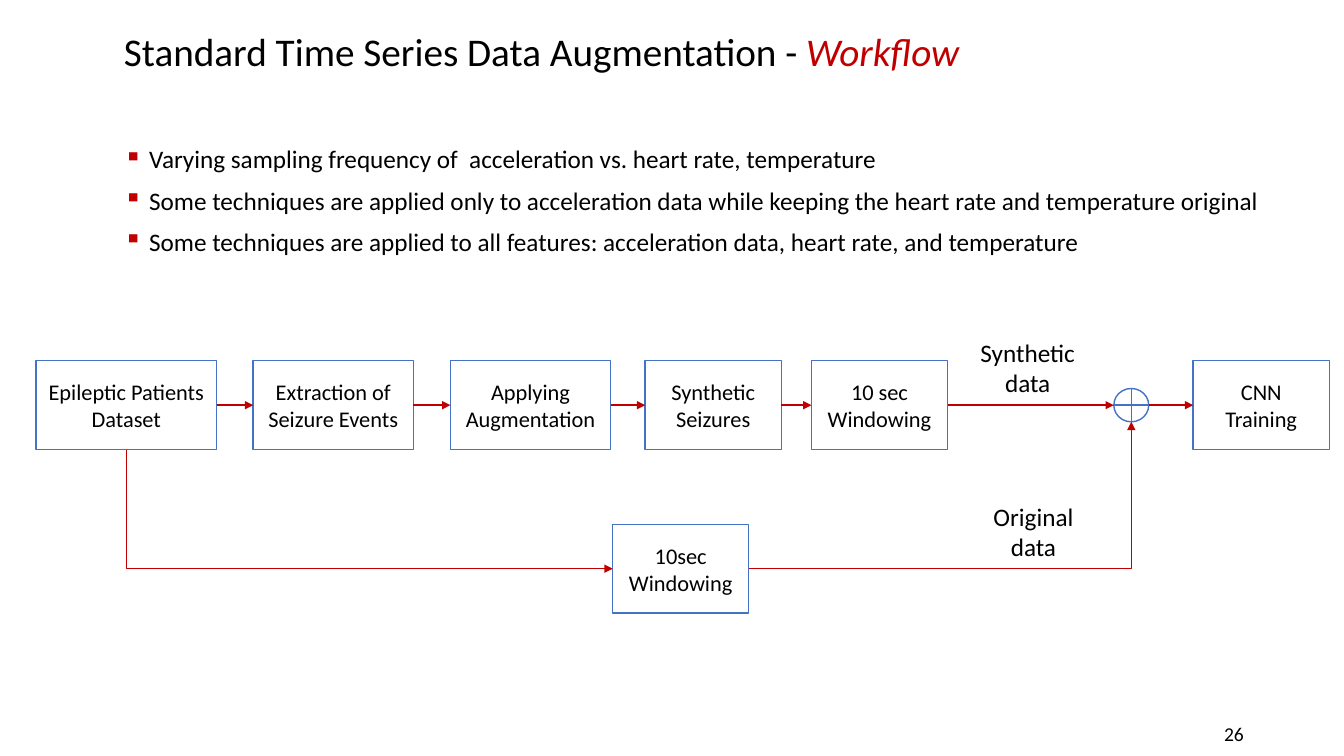
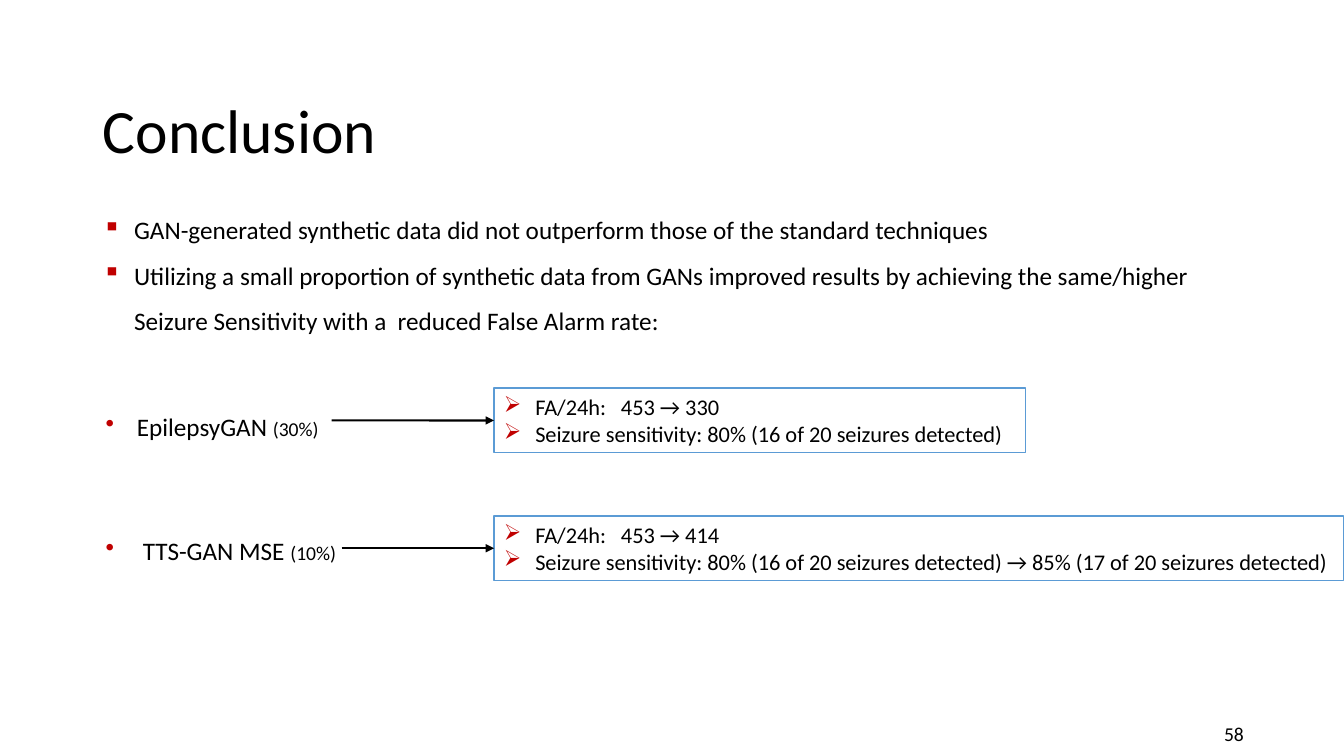
from dataclasses import dataclass
from typing import Optional

import lxml.etree
import pptx
import pptx.dml.color
import pptx.enum.shapes
import pptx.enum.text
import pptx.oxml.ns
import pptx.util

Cm = pptx.util.Cm
Pt = pptx.util.Pt
qn = pptx.oxml.ns.qn
Align = pptx.enum.text.PP_ALIGN
Anchor = pptx.enum.text.MSO_ANCHOR
Preset = pptx.enum.shapes.MSO_SHAPE
ConnectorKind = pptx.enum.shapes.MSO_CONNECTOR

FONT = "Calibri"
COLORS = {
    "text": "000000",
    "accent": "C00000",
    "paper": "FFFFFF",
    "step": "4472C4",
    "result": "5B9BD5",
}
TOP, LEFT, BOTTOM, RIGHT = range(4)


@dataclass(frozen=True)
class Area:
    left: float
    top: float
    width: float
    height: float

    def lengths(self) -> tuple:
        return Cm(self.left), Cm(self.top), Cm(self.width), Cm(self.height)

    @property
    def right(self) -> float:
        return self.left + self.width

    @property
    def bottom(self) -> float:
        return self.top + self.height

    @property
    def center(self) -> float:
        return self.left + self.width / 2

    @property
    def middle(self) -> float:
        return self.top + self.height / 2


@dataclass(frozen=True)
class Span:
    text: str
    size: float
    color: str = "text"
    italic: bool = False


@dataclass(frozen=True)
class Style:
    align: Align = Align.LEFT
    line_spacing: float = 1.0
    space_before: float = 0
    bullet: str = ""
    hanging: float = 0
    tab: Optional[float] = None


@dataclass(frozen=True)
class Step:
    text: str
    left: float
    width: float


@dataclass(frozen=True)
class Finding:
    model: str
    share: str
    label_top: float
    hanging: float
    arrow_start: float
    box: Area
    outcomes: tuple


def rgb(name: str) -> pptx.dml.color.RGBColor:
    return pptx.dml.color.RGBColor.from_string(COLORS[name])


def add_bullet(paragraph, style: Style) -> None:
    props = paragraph._p.get_or_add_pPr()
    props.set("marL", str(Cm(style.hanging)))
    props.set("indent", str(-Cm(style.hanging)))
    color = lxml.etree.SubElement(props, qn("a:buClr"))
    lxml.etree.SubElement(color, qn("a:srgbClr"), val=COLORS["accent"])
    lxml.etree.SubElement(props, qn("a:buChar"), char=style.bullet)
    if style.tab is not None:
        tabs = lxml.etree.SubElement(props, qn("a:tabLst"))
        lxml.etree.SubElement(tabs, qn("a:tab"), pos=str(Cm(style.tab)), algn="l")


def write(frame, paragraphs: list[list[Span]], style: Style = Style(),
          anchor: Anchor = Anchor.TOP) -> None:
    frame.word_wrap = True
    frame.auto_size = pptx.enum.text.MSO_AUTO_SIZE.NONE
    frame.vertical_anchor = anchor
    for index, spans in enumerate(paragraphs):
        paragraph = frame.add_paragraph() if index else frame.paragraphs[0]
        if style.bullet:
            add_bullet(paragraph, style)
        paragraph.alignment = style.align
        paragraph.line_spacing = style.line_spacing
        paragraph.space_before = Pt(style.space_before if index else 0)
        for span in spans:
            run = paragraph.add_run()
            run.text = span.text
            run.font.name = FONT
            run.font.size = Pt(span.size)
            run.font.italic = span.italic
            run.font.color.rgb = rgb(span.color)


def add_text(slide, area: Area, paragraphs: list[list[Span]], style: Style = Style(),
             anchor: Anchor = Anchor.TOP) -> None:
    write(slide.shapes.add_textbox(*area.lengths()).text_frame, paragraphs, style, anchor)


def add_outlined(slide, area: Area, line: str, preset: Preset = Preset.RECTANGLE):
    shape = slide.shapes.add_shape(preset, *area.lengths())
    shape.shadow.inherit = False
    shape.fill.solid()
    shape.fill.fore_color.rgb = rgb("paper")
    shape.line.color.rgb = rgb(line)
    shape.line.width = Pt(1)
    return shape


def add_step(slide, area: Area, text: str):
    step = add_outlined(slide, area, "step")
    lines = [[Span(line, 16)] for line in text.split("\n")]
    write(step.text_frame, lines, Style(align=Align.CENTER), Anchor.MIDDLE)
    return step


def add_arrow(slide, start: tuple, end: tuple, color: str = "accent", width: float = 1,
              source=None, target=None, kind: ConnectorKind = ConnectorKind.STRAIGHT):
    arrow = slide.shapes.add_connector(kind, *(Cm(value) for value in (*start, *end)))
    if source is not None:
        arrow.begin_connect(source, RIGHT)
    if target is not None:
        arrow.end_connect(target, LEFT)
    arrow.line.color.rgb = rgb(color)
    arrow.line.width = Pt(width)
    lxml.etree.SubElement(arrow.line._get_or_add_ln(), qn("a:tailEnd"), type="triangle")
    lxml.etree.SubElement(arrow._element.spPr, qn("a:effectLst"))
    return arrow


def add_corner_arrow(slide, start: tuple, end: tuple, down_first: bool = False) -> None:
    arrow = add_arrow(slide, start, end, kind=ConnectorKind.ELBOW)
    props = arrow._element.spPr
    props.find(qn("a:prstGeom")).set("prst", "bentConnector2")
    if down_first:
        across, down = end[0] - start[0], end[1] - start[1]
        arrow.left = Cm(start[0] + (across - down) / 2)
        arrow.top = Cm(start[1] + (down - across) / 2)
        arrow.width, arrow.height = Cm(down), Cm(across)
        transform = props.find(qn("a:xfrm"))
        transform.set("rot", str(270 * 60000))
        transform.set("flipH", "1")


def add_slide(deck, title_area: Area, title: list[Span], number: str):
    slide = deck.slides.add_slide(deck.slide_layouts[5])
    heading = slide.shapes.title
    heading.left, heading.top, heading.width, heading.height = title_area.lengths()
    write(heading.text_frame, [title], Style(line_spacing=0.9), Anchor.MIDDLE)
    add_text(slide, Area(23.98, 17.98, 7.62, 1.02), [[Span(number, 14)]],
             Style(align=Align.RIGHT), Anchor.MIDDLE)
    return slide


def build_workflow(deck) -> None:
    slide = add_slide(
        deck, Area(2.87, 0.25, 29.21, 2.21),
        [Span("Standard Time Series Data Augmentation - ", 28),
         Span("Workflow", 28, "accent", True)], "26")
    remarks = (
        "Varying sampling frequency of  acceleration vs. heart rate, temperature",
        "Some techniques are applied only to acceleration data while keeping "
        "the heart rate and temperature original",
        "Some techniques are applied to all features: acceleration data, heart rate, "
        "and temperature",
    )
    add_text(slide, Area(2.87, 3.58, 30, 3.91), [[Span(remark, 18)] for remark in remarks],
             Style(line_spacing=0.9, space_before=10, bullet="▪", hanging=0.64))

    row_top, step_height = 9.09, 2.24
    steps = (
        Step("Epileptic Patients Dataset", 0.91, 4.55),
        Step("Extraction of Seizure Events", 6.38, 4.04),
        Step("Applying Augmentation", 11.35, 4.04),
        Step("Synthetic Seizures", 16.26, 3.43),
        Step("10 sec Windowing", 20.45, 3.43),
        Step("CNN Training", 30.07, 3.43),
    )
    areas = [Area(step.left, row_top, step.width, step_height) for step in steps]
    boxes = [add_step(slide, area, step.text) for area, step in zip(areas, steps)]
    *pipeline, training = boxes
    dataset_area, windowing_area, training_area = areas[0], areas[-2], areas[-1]
    middle = dataset_area.middle
    for index in range(len(pipeline) - 1):
        add_arrow(slide, (areas[index].right, middle), (areas[index + 1].left, middle),
                  source=pipeline[index], target=pipeline[index + 1])

    merge = Area(28.07, middle - 0.42, 0.88, 0.84)
    add_outlined(slide, merge, "step", Preset.FLOWCHART_OR)
    add_arrow(slide, (windowing_area.right, middle), (merge.left, middle), source=pipeline[-1])
    add_arrow(slide, (merge.right, middle), (training_area.left, middle), target=training)

    original = Area(15.44, 13.21, 3.43, step_height)
    add_step(slide, original, "10sec\nWindowing")
    add_corner_arrow(slide, (dataset_area.center, dataset_area.bottom),
                     (original.left, original.middle), down_first=True)
    add_corner_arrow(slide, (original.right, original.middle), (merge.center, merge.bottom))

    for text, area in (("Synthetic data", Area(23.88, 8.38, 4.04, 1.8)),
                       ("Original data", Area(24.43, 12.5, 3.23, 2.11))):
        add_text(slide, area, [[Span(text, 18)]], Style(align=Align.CENTER))


def add_finding(slide, finding: Finding) -> None:
    add_text(slide, Area(2.41, finding.label_top, 7.6, 1.3),
             [[Span(finding.model + " ", 18), Span(finding.share, 14)]],
             Style(line_spacing=1.5, bullet="•", hanging=finding.hanging))
    result = add_outlined(slide, finding.box, "result")
    write(result.text_frame, [[Span(outcome, 16)] for outcome in finding.outcomes],
          Style(bullet="➢", hanging=0.79, tab=2.95), Anchor.MIDDLE)
    middle = finding.box.middle
    add_arrow(slide, (finding.arrow_start, middle), (finding.box.left, middle),
              "text", 1.5, target=result)


def build_conclusion(deck) -> None:
    slide = add_slide(deck, Area(2.34, 2.39, 29.21, 1.96), [Span("Conclusion", 44)], "58")
    conclusions = (
        "GAN-generated synthetic data did not outperform those of the standard techniques",
        "Utilizing a small proportion of synthetic data from GANs improved results by "
        "achieving the same/higher Seizure Sensitivity with a  reduced False Alarm rate:",
    )
    add_text(slide, Area(2.34, 4.9, 28.7, 3.61), [[Span(text, 18)] for text in conclusions],
             Style(line_spacing=1.5, bullet="▪", hanging=0.79))
    findings = (
        Finding("EpilepsyGAN", "(30%)", 9.86, 0.79, 8.36, Area(12.45, 9.78, 13.39, 1.63),
                ("FA/24h:\t453 → 330",
                 "Seizure sensitivity: 80% (16 of 20 seizures detected)")),
        Finding("TTS-GAN MSE", "(10%)", 12.98, 0.94, 8.61, Area(12.45, 13, 21.41, 1.63),
                ("FA/24h:\t453 → 414",
                 "Seizure sensitivity: 80% (16 of 20 seizures detected) → "
                 "85% (17 of 20 seizures detected)")),
    )
    for finding in findings:
        add_finding(slide, finding)


def main() -> None:
    deck = pptx.Presentation()
    deck.slide_width, deck.slide_height = Cm(33.87), Cm(19.05)
    build_workflow(deck)
    build_conclusion(deck)
    deck.save("out.pptx")


if __name__ == "__main__":
    main()
